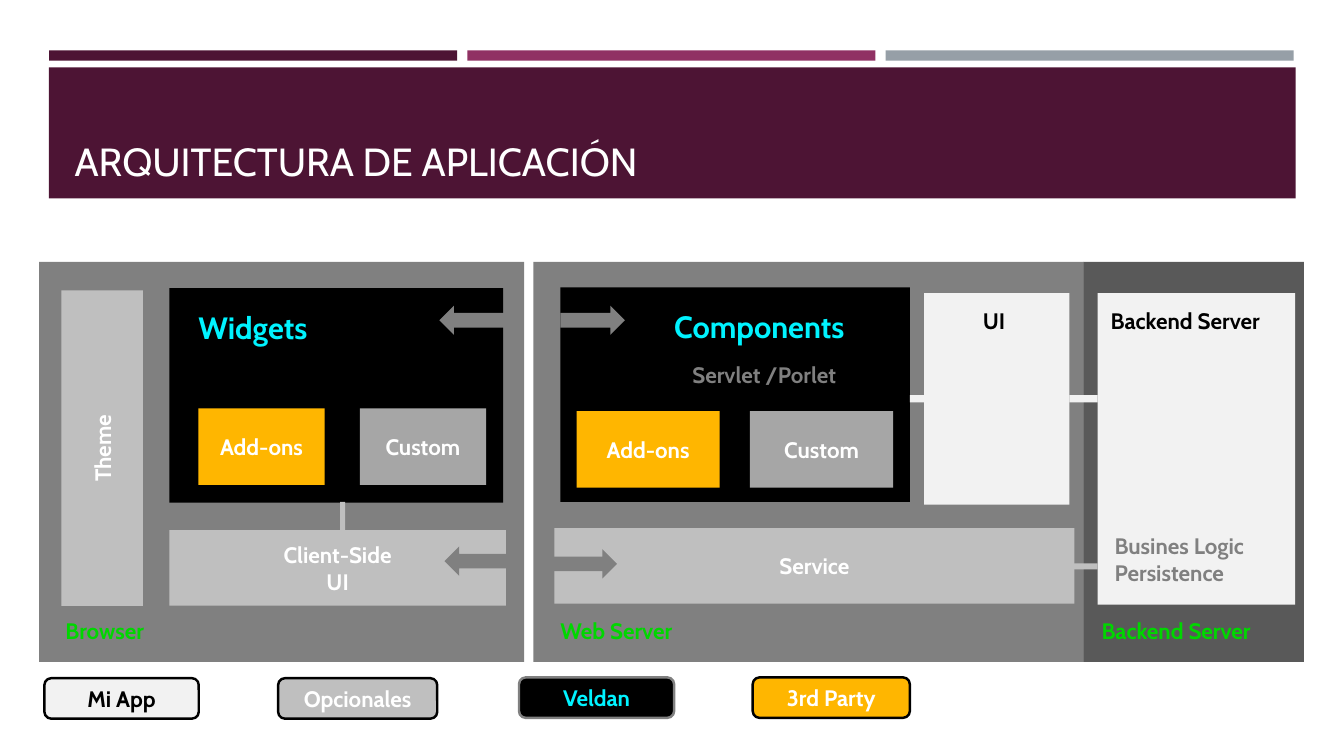
from pptx import Presentation
from pptx.dml.color import RGBColor
from pptx.enum import shapes, text
from pptx.util import Cm, Pt

COLOURS = {
    "plum": "4D1434", "magenta": "903163", "steel": "969FA7",
    "white": "FFFFFF", "black": "000000", "app": "F2F2F2",
    "optional": "BFBFBF", "custom": "A6A6A6", "region": "808080",
    "backend": "595959", "party": "FFB600", "cyan": "00F3FF", "green": "00D700",
}
RECT = shapes.MSO_SHAPE.RECTANGLE
ROUND = shapes.MSO_SHAPE.ROUNDED_RECTANGLE
ARROW = shapes.MSO_SHAPE.RIGHT_ARROW
LEFT, CENTER = text.PP_ALIGN.LEFT, text.PP_ALIGN.CENTER

deck = Presentation()
deck.slide_width, deck.slide_height = Cm(33.87), Cm(19.05)
page = deck.slides.add_slide(deck.slide_layouts[6])


def write(shape, words, colour, size=16, bold=True, align=LEFT):
    frame = shape.text_frame
    frame.word_wrap = True
    frame.text = words
    for para in frame.paragraphs:
        para.alignment = align
        for span in para.runs:
            span.font.name, span.font.size, span.font.bold = "Cabin", Pt(size), bold
            span.font.color.rgb = RGBColor.from_string(COLOURS[colour])


def add_box(place, fill, words="", colour="white", kind=RECT, outline=None, turn=0):
    box = page.shapes.add_shape(kind, *map(Cm, place))
    box.shadow.inherit = False
    box.rotation = turn
    box.fill.solid()
    box.fill.fore_color.rgb = RGBColor.from_string(COLOURS[fill])
    if outline:
        box.line.color.rgb = RGBColor.from_string(COLOURS[outline])
        box.line.width = Pt(1.75)
    else:
        box.line.fill.background()
    if words:
        box.text_frame.vertical_anchor = text.MSO_ANCHOR.MIDDLE
        write(box, words, colour, align=CENTER)


# Header bars and title band
for column, fill in enumerate(("plum", "magenta", "steel")):
    add_box((1.24 + 10.54 * column, 1.27, 10.28, 0.26), fill)
add_box((1.23, 1.7, 31.42, 3.3), "plum")
title = page.shapes.add_textbox(Cm(1.63), Cm(1.96), Cm(30.63), Cm(2.82))
title.text_frame.vertical_anchor = text.MSO_ANCHOR.BOTTOM
write(title, "ARQUITECTURA DE APLICACIÓN", "white", size=28, bold=False)

# Regions: browser, web server, backend
for left, width, fill in ((0.99, 12.22, "region"), (13.44, 13.87, "region"),
                          (27.3, 5.56, "backend")):
    add_box((left, 6.6, width, 10.08), fill)

# Browser
add_box((-1.4, 10.26, 7.95, 2.06), "optional", "Theme", turn=270)
add_box((4.27, 7.26, 8.41, 5.41), "black")
add_box((4.27, 13.36, 8.48, 1.9), "optional", "Client-Side\nUI")
add_box((8.57, 12.65, 0.13, 0.71), "optional")

# Web server and backend
add_box((14.12, 7.24, 8.81, 5.41), "black")
add_box((13.97, 13.31, 13.11, 1.9), "optional", "Service")
add_box((23.29, 7.39, 3.66, 5.33), "app")
add_box((27.66, 7.39, 4.98, 7.85), "app")

# Add-ons and custom parts on each side
for left, step, top, width in ((5, 4.07, 10.29, 3.18), (14.53, 4.37, 10.36, 3.61)):
    add_box((left, top, width, 1.93), "party", "Add-ons")
    add_box((left + step, top, width, 1.93), "custom", "Custom")

# Links between blocks
for left in (22.93, 26.95):
    add_box((left, 9.96, 0.71, 0.18), "app")
add_box((26.49, 14.2, 1.17, 0.15), "optional")

# Arrows between browser and web server
for left, top, turn in ((11.07, 7.7, 180), (14.12, 7.7, 0),
                        (11.2, 13.77, 180), (13.92, 13.84, 0)):
    add_box((left, top, 1.63, 0.74), "region", kind=ARROW, turn=turn)

# Labels
labels = (
    ("Browser", 1.65, 15.54, 2.44, "green", 16),
    ("Web Server", 14.12, 15.54, 3.58, "green", 16),
    ("Backend Server", 27.76, 15.54, 4.88, "green", 16),
    ("Backend Server", 27.99, 7.75, 4.88, "black", 16),
    ("Busines Logic Persistence", 28.09, 13.41, 4.34, "region", 16),
    ("UI", 24.77, 7.75, 1.42, "black", 16),
    ("Components", 16.99, 7.75, 5.05, "cyan", 22),
    ("Servlet /Porlet", 17.45, 9.09, 4.34, "region", 16),
    ("Widgets", 5, 7.77, 5.05, "cyan", 22),
)
for words, left, top, width, colour, size in labels:
    label = page.shapes.add_textbox(Cm(left), Cm(top), Cm(width), Cm(0.81))
    frame = label.text_frame
    frame.margin_left = frame.margin_top = frame.margin_right = 0
    frame.margin_bottom = Cm(0.13)
    frame.auto_size = text.MSO_AUTO_SIZE.SHAPE_TO_FIT_TEXT
    write(label, words, colour, size)

# Legend
legend = (
    ("Mi App", 1.12, 17.09, 3.89, "app", "black", "black"),
    ("Opcionales", 7.01, 17.09, 4.01, "optional", "white", "black"),
    ("Veldan", 13.08, 17.07, 3.91, "black", "cyan", "region"),
    ("3rd Party", 18.97, 17.07, 3.96, "party", "white", "black"),
)
for words, left, top, width, fill, colour, outline in legend:
    add_box((left, top, width, 1.02), fill, words, colour, ROUND, outline)

deck.save("out.pptx")
